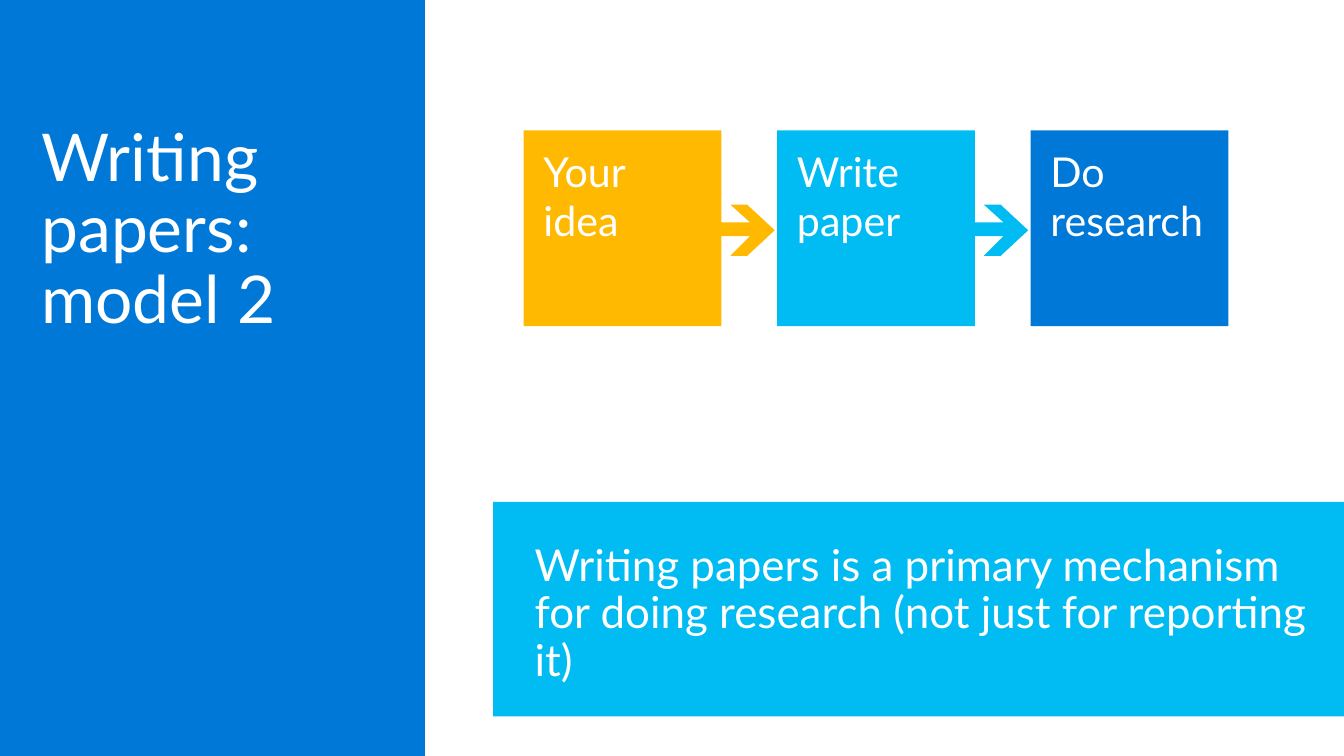
from dataclasses import dataclass

from lxml import etree
from pptx import Presentation
from pptx.dml.color import RGBColor
from pptx.enum.shapes import MSO_SHAPE
from pptx.enum.text import MSO_ANCHOR, MSO_AUTO_SIZE, PP_ALIGN
from pptx.oxml.ns import qn
from pptx.util import Inches, Pt

RECTANGLE = MSO_SHAPE.RECTANGLE
TOP = MSO_ANCHOR.TOP
LEFT = PP_ALIGN.LEFT
NO_AUTOFIT = MSO_AUTO_SIZE.NONE


@dataclass(frozen=True)
class Theme:
    font: str = "Lato"
    white: str = "FFFFFF"
    blue: str = "0078D7"
    cyan: str = "00BCF2"
    yellow: str = "FFB900"
    title_size: int = 48
    statement_size: int = 32
    step_size: int = 30


def write_text(shape, text, *, font, size, color, insets, line_spacing=1.0):
    """Fill a shape with one top-left aligned, unbulleted paragraph."""
    frame = shape.text_frame
    frame.word_wrap = True
    frame.auto_size = NO_AUTOFIT
    frame.vertical_anchor = TOP
    frame.margin_left = frame.margin_right = Inches(insets[0])
    frame.margin_top = frame.margin_bottom = Inches(insets[1])
    paragraph = frame.paragraphs[0]
    paragraph.text = text
    paragraph.alignment = LEFT
    paragraph.line_spacing = line_spacing
    paragraph.space_before = Pt(0)
    properties = paragraph._p.get_or_add_pPr()
    properties.set("marL", "0")
    properties.set("indent", "0")
    etree.SubElement(properties, qn("a:buNone"))
    paragraph.font.name = font
    paragraph.font.size = Pt(size)
    paragraph.font.color.rgb = RGBColor.from_string(color)


class SlideBuilder:
    def __init__(self, slide, theme):
        self.slide = slide
        self.theme = theme

    def paint(self, shape, color):
        shape.shadow.inherit = False
        shape.fill.solid()
        shape.fill.fore_color.rgb = RGBColor.from_string(color)
        shape.line.fill.background()

    def block(self, left, top, width, height, color):
        shape = self.slide.shapes.add_shape(
            RECTANGLE, Inches(left), Inches(top), Inches(width), Inches(height))
        self.paint(shape, color)
        return shape

    def panel(self, left, top, width, height, color):
        """Add a block behind the placeholders."""
        shape = self.block(left, top, width, height, color)
        shape.element.getparent().insert(2, shape.element)

    def step(self, text, left, top, width, height, color):
        shape = self.block(left, top, width, height, color)
        write_text(shape, text, font=self.theme.font, size=self.theme.step_size,
                   color=self.theme.white, insets=(0.2, 0.16))

    def arrow(self, left, top, color):
        outline = [(0.46, 0.18), (0.26, 0), (0.43, 0), (0.71, 0.26), (0.43, 0.52),
                   (0.26, 0.52), (0.46, 0.32), (0, 0.32), (0, 0.18)]
        points = [(Inches(left + x), Inches(top + y)) for x, y in outline]
        builder = self.slide.shapes.build_freeform(*points[0])
        builder.add_line_segments(points[1:], close=True)
        self.paint(builder.convert_to_shape(), color)

    def placeholder(self, shape, text, left, top, width, height, size):
        shape.left, shape.top = Inches(left), Inches(top)
        shape.width, shape.height = Inches(width), Inches(height)
        write_text(shape, text, font=self.theme.font, size=size,
                   color=self.theme.white, insets=(0.16, 0.1), line_spacing=0.9)


def main():
    presentation = Presentation()
    presentation.slide_width = Inches(13.6)
    presentation.slide_height = Inches(7.65)
    slide = presentation.slides.add_slide(presentation.slide_layouts[1])
    theme = Theme()
    builder = SlideBuilder(slide, theme)

    # Title and statement on their coloured panels
    builder.panel(0, 0, 4.3, 7.65, theme.blue)
    builder.panel(4.99, 5.08, 8.61, 2.17, theme.cyan)
    builder.placeholder(slide.shapes.title, "Writing papers: model 2",
                        0.26, 1.16, 3.78, 2.36, theme.title_size)
    builder.placeholder(
        slide.placeholders[1],
        "Writing papers is a primary mechanism for doing research "
        "(not just for reporting it)",
        5.25, 5.4, 8.35, 1.66, theme.statement_size)

    # Row of steps, each followed by an arrow of its own colour
    steps = [("Your idea", theme.yellow), ("Write paper", theme.cyan),
             ("Do research", theme.blue)]
    first_left, last_left = 5.3, 10.43
    pitch = (last_left - first_left) / (len(steps) - 1)
    for index, (text, color) in enumerate(steps):
        left = first_left + index * pitch
        builder.step(text, left, 1.32, 2, 1.98, color)
        if index < len(steps) - 1:
            builder.arrow(left + 1.83, 2.07, color)

    presentation.save("out.pptx")


if __name__ == "__main__":
    main()
